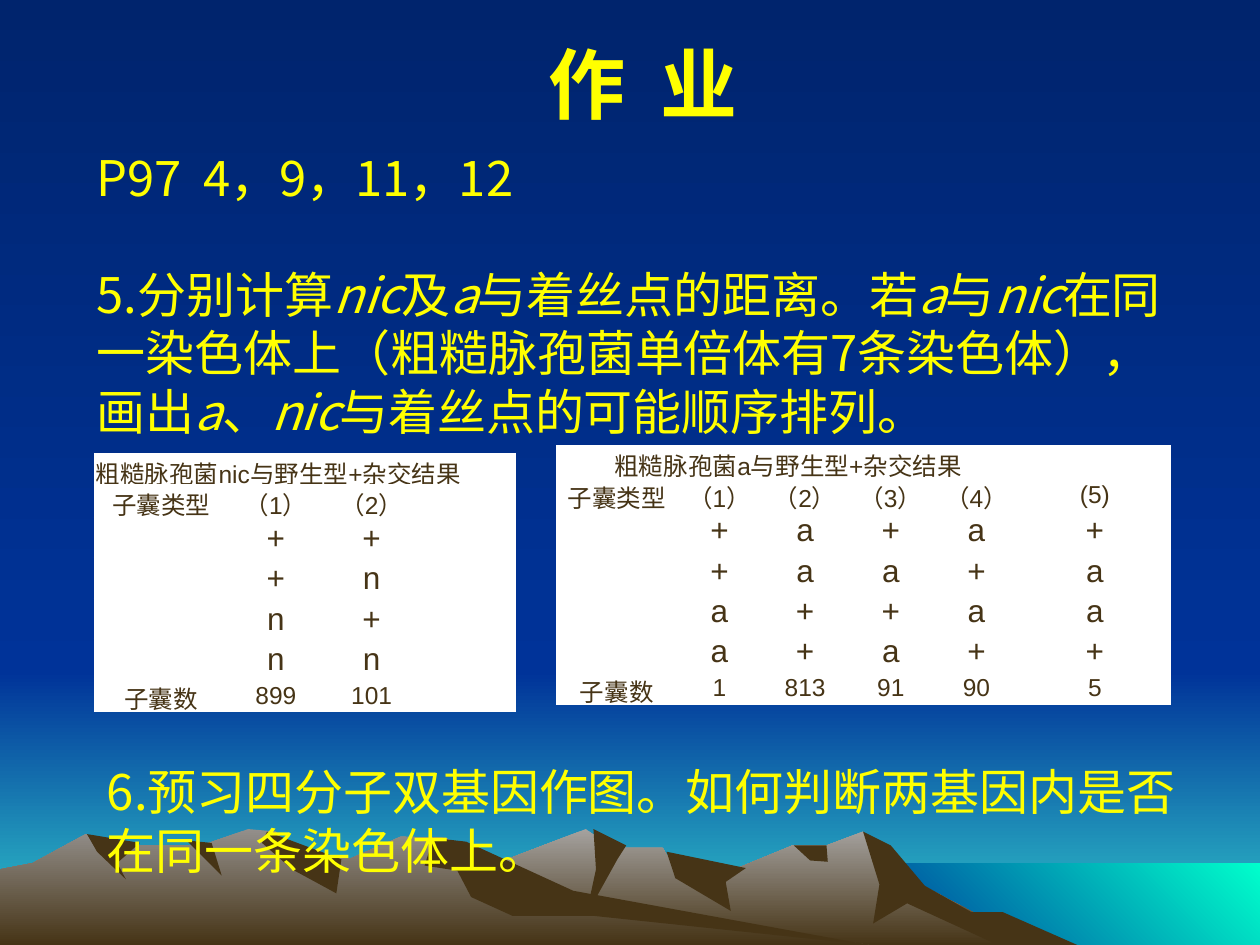
from lxml import etree
from pptx import Presentation
from pptx.dml.color import RGBColor
from pptx.enum import shapes, text
from pptx.oxml import ns
from pptx.util import Inches, Pt

NAVY = RGBColor(0x00, 0x24, 0x6D)
BLUE = RGBColor(0x00, 0x33, 0x99)
TEAL = RGBColor(0x33, 0xCC, 0xCC)
AQUA = RGBColor(0x00, 0xFF, 0xCC)
PALE = RGBColor(0xA5, 0xA2, 0x9F)
GREY = RGBColor(0x93, 0x8F, 0x8B)
BROWN = RGBColor(0x46, 0x34, 0x16)
YELLOW = RGBColor(0xFF, 0xFF, 0x00)
WHITE = RGBColor(0xFF, 0xFF, 0xFF)
SANS, CJK = "Arial", "Noto Sans CJK SC"

# Text: each paragraph is a list of (text, format) runs
TITLE = [[(" 作 业", {"gap": 5})]]
ITAL = {"italic": True}
TASK = [
    [("P97", {}), (" ", {"gap": 6}), ("4，9，11，12", {})],
    [("5.分别计算", {}), ("nic", ITAL), ("及", {}), ("a", ITAL),
     ("与着丝点的距离。若", {}), ("a", ITAL), ("与", {}), ("nic", ITAL),
     ("在同一染色体上（粗糙脉孢菌单倍体有7条染色体），画出", {}), ("a", ITAL),
     ("、", {}), ("nic", ITAL), ("与着丝点的可能顺序排列。", {})],
]
NEXT = [[("6.预习四分子双基因作图。如何判断两基因内是否在同一条染色体上。", {})]]

# Tables: left, top, column widths, columns under the heading, rows
ROWS = [0.25, 0.26] + [0.32] * 4 + [0.26]
CROSS = [
    {"at": (0.75, 3.6), "cols": [1.06] + [0.76] * 3, "span": 4,
     "align": text.PP_ALIGN.LEFT,
     "rows": [["粗糙脉孢菌nic与野生型+杂交结果"],
              ["子囊类型", "（1）", "（2）"],
              ["", "+", "+"], ["", "+", "n"], ["", "n", "+"], ["", "n", "n"],
              ["子囊数", "899", "101"]]},
    {"at": (4.42, 3.54), "cols": [0.95] + [0.68] * 4 + [1.2], "span": 5,
     "align": text.PP_ALIGN.CENTER,
     "rows": [["粗糙脉孢菌a与野生型+杂交结果"],
              ["子囊类型", "（1）", "（2）", "（3）", "（4）", "(5)"],
              ["", "+", "a", "+", "a", "+"], ["", "+", "a", "a", "+", "a"],
              ["", "a", "+", "+", "a", "a"], ["", "a", "+", "a", "+", "+"],
              ["子囊数", "1", "813", "91", "90", "5"]]},
]

# Landscape: bands are left, top, width, height, colours, angle
BANDS = [
    (0, 5.33, 10, 2.17, (BLUE, TEAL), 270),
    (0, 0, 10, 5.33, (NAVY, BLUE), 270),
    (6.83, 6.85, 3.17, 0.65, (BLUE, AQUA), 45),
]
# Hills are colours and outline points
SHADE = (BROWN,)
HILLS = [
    ((PALE, BROWN), [
        (2.58, 7.5), (3.27, 7.09), (4.05, 6.81), (4.65, 6.58), (4.86, 6.73), (5.26, 6.73),
        (5.36, 6.9), (5.66, 6.97), (6.29, 6.71), (6.56, 6.71), (6.85, 6.6), (7.23, 6.98),
        (7.78, 7.27), (8.21, 7.5)]),
    (SHADE, [
        (6.85, 6.6), (6.98, 7.02), (6.93, 7.33), (7.2, 7.17), (7.92, 7.5), (8.55, 7.5),
        (7.96, 7.24), (7.71, 7.24), (7.34, 7.03), (7.07, 6.71)]),
    (SHADE, [(4.71, 6.58), (4.73, 6.9), (4.65, 7.27), (4.9, 6.82), (4.97, 6.71)]),
    (SHADE, [(5.29, 6.76), (5.36, 6.97), (5.8, 7.23), (5.76, 7), (5.92, 6.89)]),
    (SHADE, [(6.3, 6.71), (6.43, 6.83), (6.57, 6.84), (6.56, 6.71)]),
    ((GREY, BROWN), [
        (0, 7.5), (0, 6.9), (0.26, 6.85), (0.68, 6.62), (0.94, 6.71), (1.6, 6.71),
        (1.97, 6.58), (2.19, 6.6), (2.36, 6.81), (2.79, 6.81), (3.18, 6.64), (3.54, 6.65),
        (4.32, 7.12), (6.9, 7.5)]),
    (SHADE, [(2.12, 6.6), (2.08, 6.69), (2.32, 6.9), (2.67, 7.09), (2.71, 6.82)]),
    (SHADE, [
        (3.44, 6.65), (3.37, 6.87), (3.63, 6.91), (3.74, 7.12), (4.07, 7.27), (4.72, 7.27),
        (6.9, 7.5), (4.55, 7.07), (3.7, 6.68)]),
    (SHADE, [(1.48, 6.67), (1.76, 6.95), (1.68, 6.69)]),
    (SHADE, [(0.69, 6.62), (0.77, 6.76), (1, 6.98), (0.93, 6.85), (1.11, 6.69)]),
]


def paint(shape, tones, angle=270):
    """Fill with one colour, or with a gradient of two."""
    shape.shadow.inherit = False
    shape.line.fill.background()
    if len(tones) == 1:
        shape.fill.solid()
        shape.fill.fore_color.rgb = tones[0]
        return
    shape.fill.gradient()
    shape.fill.gradient_angle = angle
    for stop, tone in zip(shape.fill.gradient_stops, tones):
        stop.color.rgb = tone


def write(frame, paras, size=28, font=CJK, color=YELLOW, bold=False,
          align=text.PP_ALIGN.LEFT, pitch=None, before=0):
    frame.word_wrap = True
    for i, runs in enumerate(paras):
        para = frame.add_paragraph() if i else frame.paragraphs[0]
        para.alignment = align
        para.space_before = Pt(before if i else 0)
        if pitch:
            para.line_spacing = pitch
        for words, form in runs:
            run = para.add_run()
            run.text = words
            face = run.font
            face.size, face.name, face.bold = Pt(size), font, bold
            face.color.rgb = color
            face.italic = form.get("italic", False)
            props = run._r.get_or_add_rPr()
            etree.SubElement(props, ns.qn("a:ea"), typeface=CJK)
            if "gap" in form:
                props.set("spc", str(form["gap"] * 100))
        if not runs:
            etree.SubElement(para._p, ns.qn("a:endParaRPr"), sz=str(size * 100))


def edge(cell):
    """Draw white one-point borders."""
    props = cell._tc.get_or_add_tcPr()
    for i, side in enumerate(("lnL", "lnR", "lnT", "lnB")):
        line = etree.Element(ns.qn("a:" + side), w=str(Pt(1)))
        fill = etree.SubElement(line, ns.qn("a:solidFill"))
        etree.SubElement(fill, ns.qn("a:srgbClr"), val=str(WHITE))
        props.insert(i, line)


def grid(slide, data):
    wide, rows = data["cols"], data["rows"]
    box = [Inches(n) for n in (*data["at"], sum(wide), sum(ROWS))]
    table = slide.shapes.add_table(len(ROWS), len(wide), *box).table
    table.first_row = table.horz_banding = False
    for col, width in zip(table.columns, wide):
        col.width = Inches(width)
    for r, height in enumerate(ROWS):
        table.rows[r].height = Inches(height)
        for c in range(len(wide)):
            cell = table.cell(r, c)
            cell.fill.solid()
            cell.fill.fore_color.rgb = WHITE
            edge(cell)
            cell.margin_left = cell.margin_right = cell.margin_top = Inches(0.01)
            cell.margin_bottom = 0
            cell.vertical_anchor = text.MSO_ANCHOR.MIDDLE
            words = rows[r][c] if c < len(rows[r]) else ""
            write(cell.text_frame, [[(words, {})] if words else []],
                  size=18 if 2 <= r <= 5 and words else 14, font=SANS, color=BROWN,
                  align=text.PP_ALIGN.CENTER if r else data["align"])
    table.cell(0, 0).merge(table.cell(0, data["span"] - 1))


def main():
    deck = Presentation()
    deck.slide_width, deck.slide_height = Inches(10), Inches(7.5)
    slide = deck.slides.add_slide(deck.slide_layouts[5])
    slide.background.fill.solid()
    slide.background.fill.fore_color.rgb = BLUE

    # Landscape
    for *box, tones, angle in BANDS:
        band = slide.shapes.add_shape(shapes.MSO_SHAPE.RECTANGLE, *map(Inches, box))
        paint(band, tones, angle)
    for tones, dots in HILLS:
        spots = [(Inches(x), Inches(y)) for x, y in dots]
        pen = slide.shapes.build_freeform(*spots[0])
        pen.add_line_segments(spots[1:], close=True)
        paint(pen.convert_to_shape(), tones)

    # Title, brought in front of the landscape
    title = slide.shapes.title
    title.element.getparent().append(title.element)
    title.left, title.top, title.width, title.height = map(Inches, (0.5, 0.15, 9, 1.01))
    title.text_frame.vertical_anchor = text.MSO_ANCHOR.MIDDLE
    write(title.text_frame, TITLE, size=44, font=SANS, bold=True,
          align=text.PP_ALIGN.CENTER)

    # Tasks and tables
    for box, paras in (((0.67, 1.12, 8.67, 2.46), TASK), ((0.75, 6, 8.83, 1.04), NEXT)):
        note = slide.shapes.add_textbox(*map(Inches, box))
        write(note.text_frame, paras, pitch=Pt(33.5), before=33.5)
    for data in CROSS:
        grid(slide, data)
    deck.save("out.pptx")


if __name__ == "__main__":
    main()
